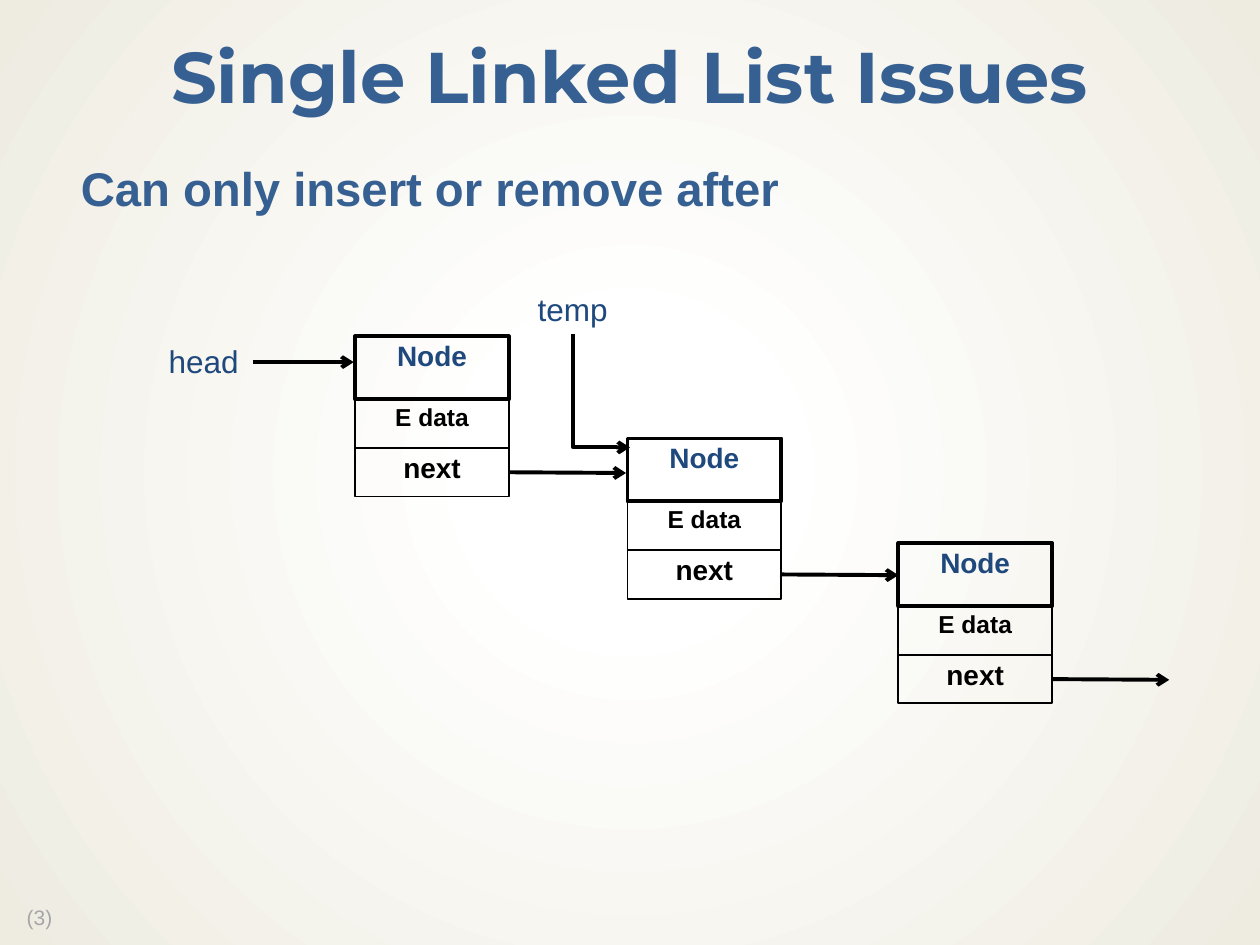
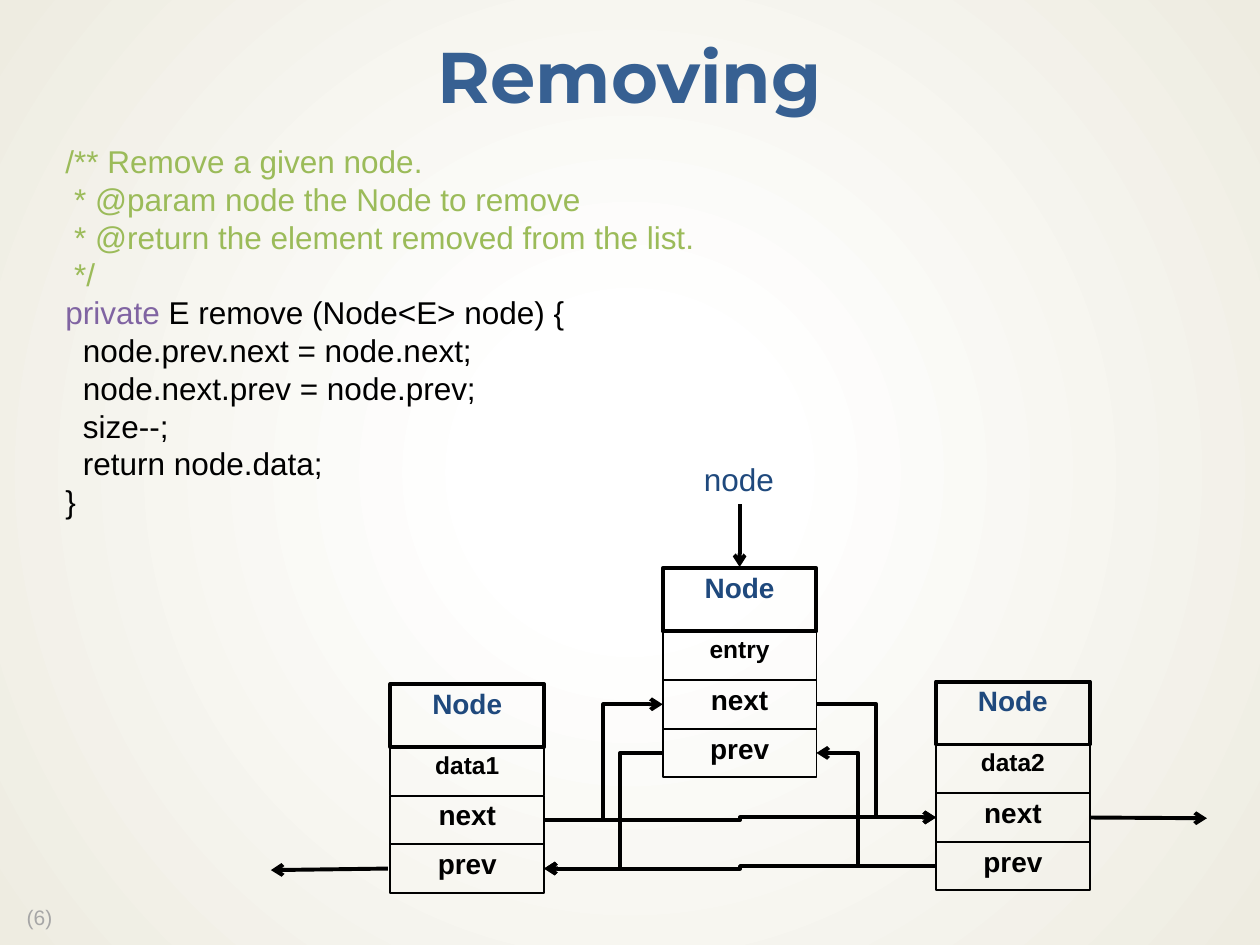
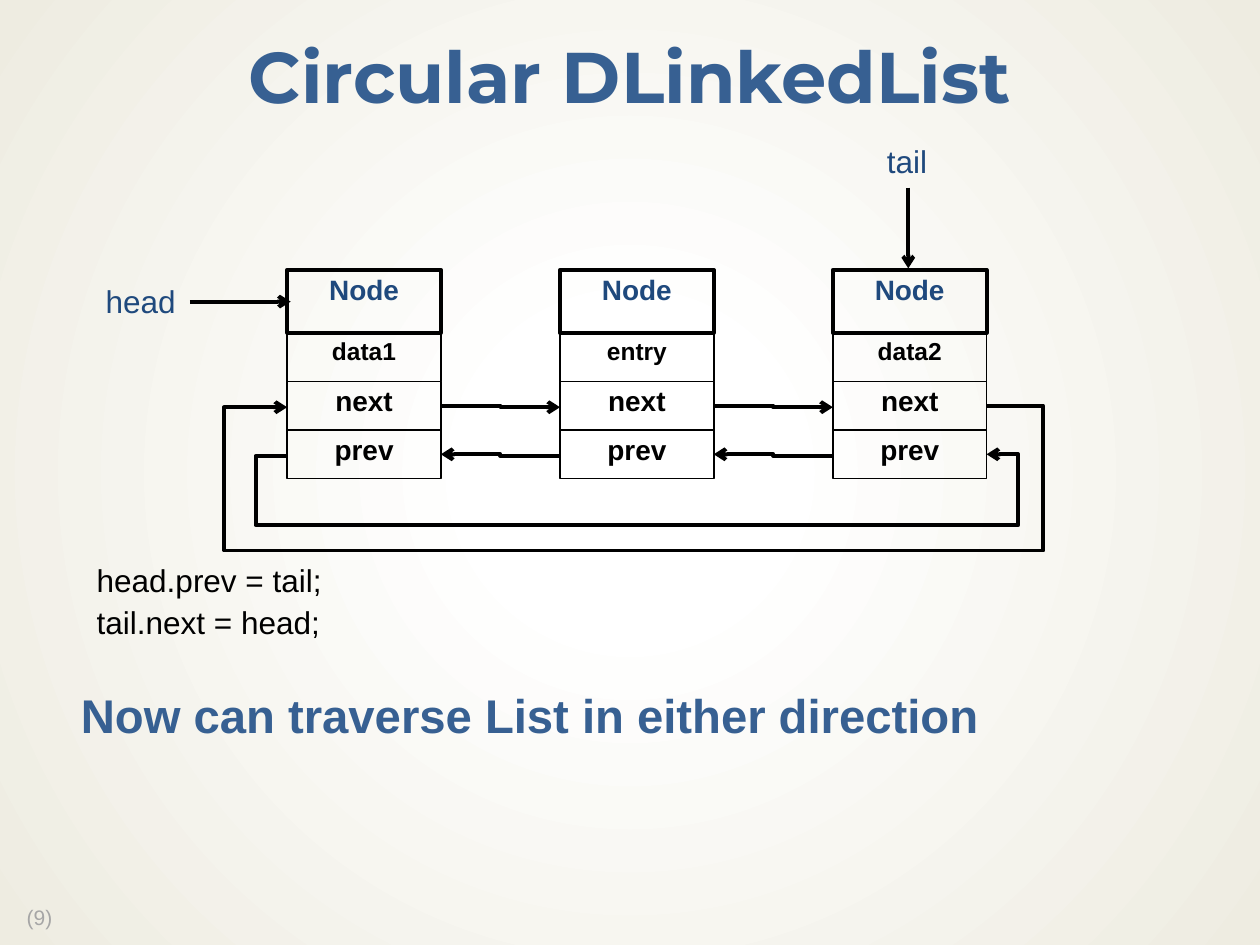
from collections import namedtuple

import lxml.etree
import pptx
import pptx.dml.color
import pptx.enum.shapes
import pptx.enum.text
import pptx.oxml
import pptx.oxml.ns
import pptx.util

Cm, Pt, qn = pptx.util.Cm, pptx.util.Pt, pptx.oxml.ns.qn
ALIGN = pptx.enum.text.PP_ALIGN
ANCHOR = pptx.enum.text.MSO_ANCHOR
AUTO = pptx.enum.text.MSO_AUTO_SIZE
LINE = pptx.enum.shapes.MSO_CONNECTOR
RECT = pptx.enum.shapes.MSO_SHAPE.RECTANGLE

HEADING, NAVY, BLACK, GREY = "376092", "1F497D", "000000", "A6A6A6"
COMMENT, KEYWORD = "9BBB59", "8064A2"
NODE_W, HEAD_H, ROW_H = 3.1, 1.27, 0.98
POINTER = 2.36  # length of a pointer leaving a node
JOG = 0.03      # small step between the two ends of a link

BACKGROUND = """<p:bg %s><p:bgPr><a:gradFill rotWithShape="1"><a:gsLst>
<a:gs pos="18000"><a:srgbClr val="FFFFFF"><a:alpha val="53000"/></a:srgbClr></a:gs>
<a:gs pos="100000"><a:srgbClr val="EEECE1"/></a:gs></a:gsLst>
<a:path path="circle"><a:fillToRect l="50000" t="50000" r="50000" b="50000"/></a:path>
</a:gradFill><a:effectLst/></p:bgPr></p:bg>""" % pptx.oxml.ns.nsdecls("p", "a")

Node = namedtuple("Node", "left right next prev")


def rgb(value):
    return pptx.dml.color.RGBColor.from_string(value)


def style(p, size, color, bold=False, name="Arial", spacing=0.9, align=None):
    p.font.size, p.font.bold, p.font.name = Pt(size), bold, name
    p.font.color.rgb = rgb(color)
    p.line_spacing, p.alignment = spacing, align
    p.space_before = Pt(0)


class Deck:
    def __init__(self):
        self.prs = pptx.Presentation()
        self.prs.slide_width, self.prs.slide_height = Cm(25.4), Cm(19.05)
        c_sld = self.prs.slide_master.element.cSld
        c_sld.remove(c_sld.find(qn("p:bg")))
        c_sld.insert(0, pptx.oxml.parse_xml(BACKGROUND))
        self.s = None

    def slide(self, title, number, statement=None, top=0):
        """Start a slide; a statement goes in the body placeholder at top."""
        layout = self.prs.slide_layouts[1 if statement else 5]
        self.s = self.prs.slides.add_slide(layout)
        p = self.placeholder(0, title, 0, 0.43, 25.4, 2.39, 0.33)
        style(p, 41, HEADING, True, "Montserrat", align=ALIGN.CENTER)
        if statement:
            p = self.placeholder(1, statement, 0.97, top, 23.5, 1.5, 0.3)
            p_pr = p._p.get_or_add_pPr()
            p_pr.set("marL", str(Cm(0.36)))
            p_pr.set("indent", "0")
            lxml.etree.SubElement(p_pr, qn("a:buNone"))
            style(p, 27, HEADING, True)
        self.text(f"({number})", 0.29, 18.16, 1.3, 0.71, GREY, 12, 0.9)

    def placeholder(self, index, text, x, y, w, h, inset):
        sp = self.s.placeholders[index]
        sp.left, sp.top, sp.width, sp.height = Cm(x), Cm(y), Cm(w), Cm(h)
        tf = sp.text_frame
        tf.auto_size = AUTO.NONE
        tf.margin_left = tf.margin_right = Cm(inset)
        tf.margin_top = tf.margin_bottom = Cm(0.15)
        tf.vertical_anchor = ANCHOR.TOP if index else ANCHOR.MIDDLE
        tf.text = text
        return tf.paragraphs[0]

    def text(self, text, x, y, w=1.93, h=1.02, color=NAVY, size=18, spacing=1.0):
        sp = self.s.shapes.add_textbox(Cm(x), Cm(y), Cm(w), Cm(h))
        tf = sp.text_frame
        tf.word_wrap, tf.auto_size = False, AUTO.SHAPE_TO_FIT_TEXT
        tf.text = text
        for p in tf.paragraphs:
            style(p, size, color, spacing=spacing)
        return tf

    def node(self, x, y, *fields):
        """Stack a heading and field rows; return the points links attach to."""
        group = self.s.shapes.add_group_shape()
        top = y
        for i, text in enumerate(("Node",) + fields):
            h = ROW_H if i else HEAD_H
            sp = group.shapes.add_shape(RECT, Cm(x), Cm(top), Cm(NODE_W), Cm(h))
            sp.shadow.inherit = False
            sp.fill.background()
            sp.line.color.rgb = rgb(BLACK)
            sp.line.width = Pt(1 if i else 2.25)
            tf = sp.text_frame
            tf.vertical_anchor = ANCHOR.TOP
            tf.text = text
            style(tf.paragraphs[0], 14 if i == 1 else 16, BLACK if i else NAVY,
                  True, align=ALIGN.CENTER)
            top += h
        rows = y + HEAD_H
        return Node(x, x + NODE_W, rows + 1.5 * ROW_H, rows + 2.5 * ROW_H)

    def arrow(self, x1, y1, x2, y2, bends=()):
        """Draw an arrow; bends are the x, y, x, ... positions of its middle legs."""
        kind = LINE.ELBOW if bends else LINE.STRAIGHT
        start, end = (Cm(x1), Cm(y1)), (Cm(x2), Cm(y2))
        cxn = self.s.shapes.add_connector(kind, *start, *end)
        cxn.line.width = Pt(2.25)
        cxn.line.color.rgb = rgb(BLACK)
        sp_pr = cxn._element.spPr
        lxml.etree.SubElement(sp_pr.find(qn("a:ln")), qn("a:tailEnd"), type="arrow")
        lxml.etree.SubElement(sp_pr, qn("a:effectLst"))
        geom = sp_pr.find(qn("a:prstGeom"))
        if bends:
            geom.set("prst", f"bentConnector{len(bends) + 2}")
        for i, bend in enumerate(bends):
            a, b = start[i % 2], end[i % 2]
            share = round((Cm(bend) - a) / (b - a) * 100000)
            lxml.etree.SubElement(geom.find(qn("a:avLst")), qn("a:gd"),
                                  name=f"adj{i + 1}", fmla=f"val {share}")
        return cxn

    def link(self, x1, y1, x2, y2):
        """Draw an arrow that bends halfway across."""
        self.arrow(x1, y1, x2, y2, [(x1 + x2) / 2])

    def corner_arrow(self, x1, y1, x2, y2):
        """Draw an arrow that goes down, then right."""
        cx, cy = (x1 + x2) / 2, (y1 + y2) / 2
        dx, dy = (y2 - y1) / 2, (x2 - x1) / 2
        cxn = self.arrow(cx + dx, cy - dy, cx - dx, cy + dy, [cx])
        sp_pr = cxn._element.spPr
        geom = sp_pr.find(qn("a:prstGeom"))
        geom.set("prst", "bentConnector2")
        geom.find(qn("a:avLst")).clear()
        sp_pr.find(qn("a:xfrm")).set("rot", "16200000")

    def head(self, x, y):
        self.text("head", x, y)
        self.arrow(x + 1.95, y + 0.52, x + 3.98, y + 0.52)


def single_list(deck):
    deck.slide("Single Linked List Issues", 3, "Can only insert or remove after", 3.18)
    for x, y in ((7.16, 6.78), (12.65, 8.84), (18.11, 10.95)):
        n = deck.node(x, y, "E data", "next")
        deck.arrow(n.right, n.next, n.right + POINTER, n.next + JOG / 2)
    deck.head(3.15, 6.78)
    deck.text("temp", 10.59, 5.72)
    deck.corner_arrow(11.56, 6.73, 12.7, 9.02)


def removing(deck):
    deck.slide("Removing", 6)
    tf = deck.text("""/** Remove a given node.
 * @param node the Node to remove
 * @return the element removed from the list.
 */
private E remove (Node<E> node) {
  node.prev.next = node.next;
  node.next.prev = node.prev;
  size--;
  return node.data;
}""", 1.07, 2.74, 13.31, 7.95, BLACK)
    for p in tf.paragraphs[:4]:
        p.font.color.rgb = rgb(COMMENT)
    p = tf.paragraphs[4]
    keyword, rest = p.runs[0].text.split(" ", 1)
    p.runs[0].text = keyword + " "
    p.runs[0].font.color.rgb = rgb(KEYWORD)
    p.add_run().text = rest

    before = deck.node(7.87, 13.79, "data1", "next", "prev")
    node = deck.node(13.36, 11.46, "entry", "next", "prev")
    after = deck.node(18.87, 13.74, "data2", "next", "prev")
    deck.arrow(before.left - 0.05, before.prev, before.left - 0.05 - POINTER, before.prev + JOG)
    deck.arrow(after.right, after.next, after.right + POINTER, after.next + JOG / 2)
    deck.text("node", 13.94, 9.14)
    deck.arrow(14.91, 10.16, 14.91, 11.43)
    deck.link(node.right, node.next, after.left, after.next)
    deck.arrow(node.left, node.prev, before.right, before.prev, [12.5])
    deck.link(before.right, before.next, node.left, node.next)
    deck.arrow(after.left, after.prev, node.right, node.prev, [17.3])
    deck.link(before.right, before.next, after.left, after.next)
    deck.link(after.left, after.prev, before.right, before.prev)


def circular_list(deck):
    deck.slide("Circular DLinkedList", 9, "Now can traverse List in either direction", 13.82)
    nodes = [deck.node(5.79 + 5.5 * i, 5.44, data, "next", "prev")
             for i, data in enumerate(("data1", "entry", "data2"))]
    for a, b in zip(nodes, nodes[1:]):
        deck.link(a.right, a.next, b.left, b.next + JOG)
        deck.link(b.left, b.prev + JOG, a.right, a.prev)
    first, last = nodes[0], nodes[-1]
    deck.arrow(last.right, last.next, first.left, first.next + JOG, [21.03, 11.1, 4.52])
    deck.arrow(first.left, first.prev + JOG, last.right, last.prev, [5.16, 10.59, 20.52])
    deck.head(1.88, 5.56)
    deck.text("tail", 17.63, 2.74, 1.32)
    deck.arrow(18.31, 3.78, 18.31, 5.41)
    deck.text("head.prev = tail;", 1.7, 11.18, 5.21, color=BLACK)
    deck.text("tail.next = head;", 1.7, 12.04, 5.21, color=BLACK)


def main():
    deck = Deck()
    single_list(deck)
    removing(deck)
    circular_list(deck)
    deck.prs.save("out.pptx")


if __name__ == "__main__":
    main()
